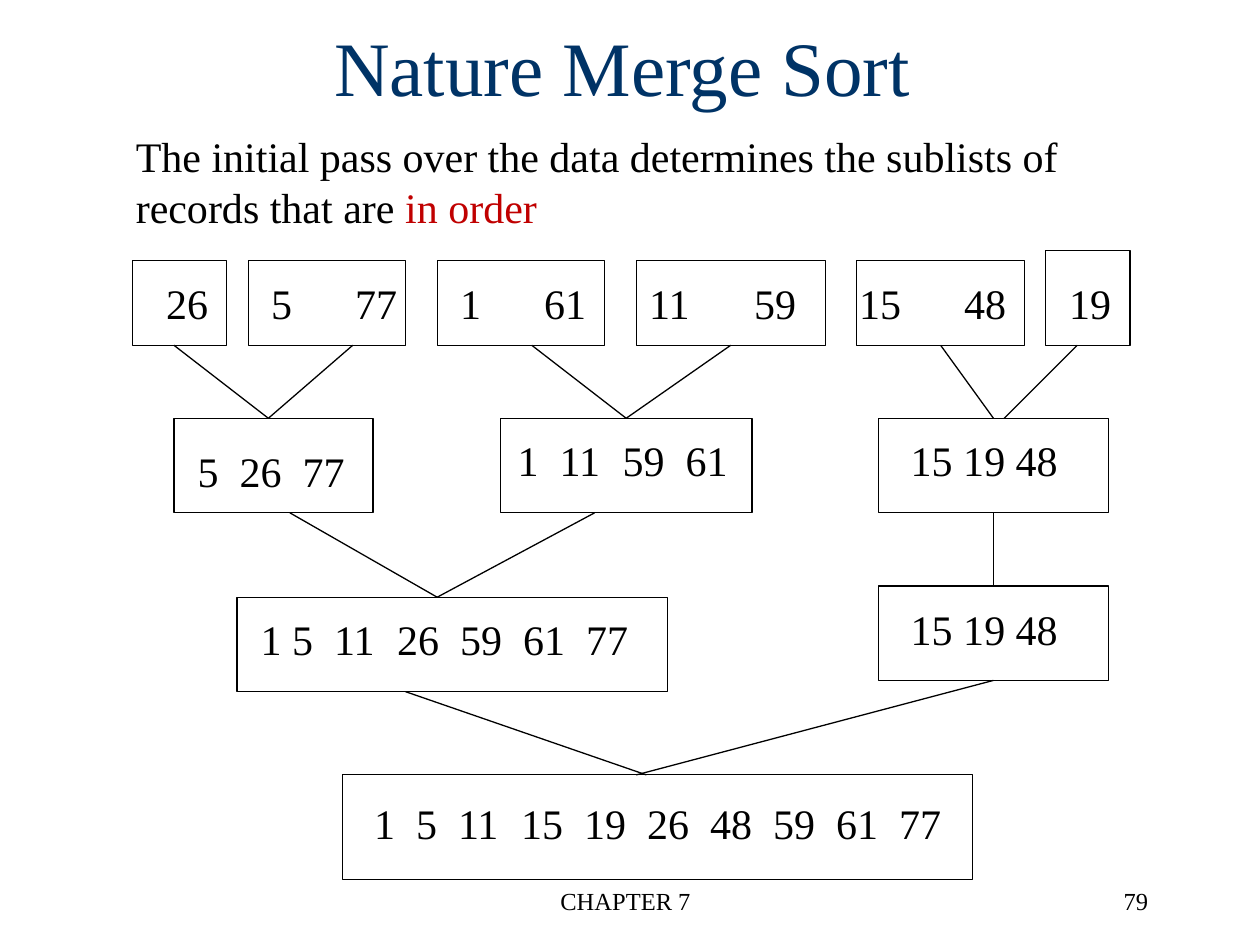
from itertools import accumulate

from lxml import etree
from pptx import Presentation
from pptx.dml.color import RGBColor
from pptx.enum.shapes import MSO_CONNECTOR, MSO_SHAPE
from pptx.enum.text import MSO_ANCHOR, PP_ALIGN
from pptx.oxml.ns import qn
from pptx.util import Inches, Pt

BLACK = RGBColor(0x00, 0x00, 0x00)
NAVY = RGBColor(0x00, 0x33, 0x66)
RED = RGBColor(0xC0, 0x00, 0x00)
FONT = "Times New Roman"
LEFT, CENTER, RIGHT = PP_ALIGN.LEFT, PP_ALIGN.CENTER, PP_ALIGN.RIGHT
TOP, MIDDLE = MSO_ANCHOR.TOP, MSO_ANCHOR.MIDDLE
RECT, STRAIGHT = MSO_SHAPE.RECTANGLE, MSO_CONNECTOR.STRAIGHT
TOP_SITE, BOTTOM_SITE = 0, 2
SPACE = 1 / 12  # width of a space at 24 pt; a digit is twice as wide

# Sorted lists: name -> left, top, width, height within the tree
BOXES = {
    "run 1": (0, 0.08, 0.75, 0.67),
    "run 2": (0.92, 0.08, 1.25, 0.67),
    "run 3": (2.42, 0.08, 1.33, 0.67),
    "run 4": (4, 0.08, 1.5, 0.67),
    "run 5": (5.75, 0.08, 1.33, 0.67),
    "run 6": (7.25, 0, 0.67, 0.75),
    "pair 1": (0.33, 1.33, 1.58, 0.75),
    "pair 2": (2.92, 1.33, 2, 0.75),
    "pair 3": (5.92, 1.33, 1.83, 0.75),
    "half 1": (0.83, 2.75, 3.42, 0.75),
    "half 2": (5.92, 2.66, 1.83, 0.75),
    "result": (1.67, 4.16, 5, 0.83),
}

# Rows of numbers: left, top, gap in spaces, comma-separated numbers
ROWS = [
    (0.17, 0.16, 6, "26,5,77,1,61,11,59,15,48,19"),
    (0.42, 1.5, 2, "5,26,77"),
    (2.96, 1.41, 2, "1,11,59,61"),
    (6.08, 1.41, 2, "15 19 48"),
    (0.92, 2.83, 2, "1 5,11,26,59,61,77"),
    (6.08, 2.75, 2, "15 19 48"),
    (1.82, 4.29, 2, "1,5,11,15,19,26,48,59,61,77"),
]

# Merges: each end is a point, or a box and its connection site
MERGES = [
    ((0.33, 0.75), (1.08, 1.33)),
    ((1.75, 0.75), (1.08, 1.33)),
    ((3.17, 0.75), ("pair 2", TOP_SITE)),
    (("run 4", BOTTOM_SITE), ("pair 2", TOP_SITE)),
    (("run 5", BOTTOM_SITE), ("pair 3", TOP_SITE)),
    ((7.5, 0.75), (6.92, 1.33)),
    ((1.25, 2.08), (2.42, 2.75)),
    ((3.67, 2.08), (2.42, 2.75)),
    (("pair 3", BOTTOM_SITE), ("half 2", TOP_SITE)),
    ((2.17, 3.5), (4.08, 4.16)),
    (("half 2", BOTTOM_SITE), (4, 4.16)),
]


def add_text(s, box, runs, size, align=LEFT, anchor=TOP):
    """Add a one-paragraph text box; runs are (text, colour) pairs."""
    tf = s.shapes.add_textbox(*map(Inches, box)).text_frame
    tf.word_wrap = True
    tf.vertical_anchor = anchor
    p = tf.paragraphs[0]
    p.alignment = align
    for text, color in runs:
        r = p.add_run()
        r.text = text
        r.font.name, r.font.size = FONT, Pt(size)
        r.font.color.rgb = color
    return p


def add_number_row(s, left, top, gap, numbers):
    """Add numbers set apart by tab stops worked out from their widths."""
    items = numbers.split(",")
    widths = [sum(1 if ch == " " else 2 for ch in item) * SPACE
              for item in items]
    stops = list(accumulate(w + gap * SPACE for w in widths[:-1]))
    width = (stops[-1] if stops else 0) + widths[-1] + 0.25
    p = add_text(s, (left, top, width, 0.5), [("\t".join(items), BLACK)], 24)
    if stops:
        tabs = etree.SubElement(p._p.get_or_add_pPr(), qn("a:tabLst"))
        for stop in stops:
            etree.SubElement(tabs, qn("a:tab"), pos=str(Inches(stop)), algn="l")


def add_merge_line(s, ends, boxes, left, top):
    line = s.shapes.add_connector(STRAIGHT, 0, 0, 0, 0)
    line.line.color.rgb = BLACK
    line.line.width = Pt(0.75)
    etree.SubElement(line._element.spPr, qn("a:effectLst"))
    (a, b), (c, d) = ends
    if a in boxes:
        line.begin_connect(boxes[a], b)
    else:
        line.begin_x, line.begin_y = Inches(left + a), Inches(top + b)
    if c in boxes:
        line.end_connect(boxes[c], d)
    else:
        line.end_x, line.end_y = Inches(left + c), Inches(top + d)


def add_heading(s, left, top):
    # Title and introduction
    add_text(s, (left, top, 8.5, 1.25), [("Nature Merge Sort", NAVY)],
             44, CENTER, MIDDLE)
    add_text(s, (left + 0.29, top + 1.09, 7.64, 0.91),
             [("The initial pass over the data determines the sublists of "
               "records that are ", BLACK), ("in order", RED)], 24)


def add_merge_tree(s, left, top):
    # Numbers
    for x, y, gap, numbers in ROWS:
        add_number_row(s, left + x, top + y, gap, numbers)
    # Frames
    boxes = {}
    for name, (x, y, w, h) in BOXES.items():
        box = s.shapes.add_shape(
            RECT, Inches(left + x), Inches(top + y), Inches(w), Inches(h))
        box.shadow.inherit = False
        box.fill.background()
        box.line.color.rgb = BLACK
        box.line.width = Pt(0.75)
        boxes[name] = box
    # Merge lines
    for ends in MERGES:
        add_merge_line(s, ends, boxes, left, top)


def add_footer(s, left, top):
    add_text(s, (left, top, 3.17, 0.5), [("CHAPTER 7", BLACK)], 14, CENTER)
    add_text(s, (left + 3.75, top, 2.08, 0.5), [("79", BLACK)], 14, RIGHT)


def main():
    prs = Presentation()
    prs.slide_width, prs.slide_height = Inches(10), Inches(7.5)
    s = prs.slides.add_slide(prs.slide_layouts[6])
    add_footer(s, 3.38, 6.98)
    add_heading(s, 0.69, -0.1)
    add_merge_tree(s, 1.05, 1.99)
    prs.save("out.pptx")


if __name__ == "__main__":
    main()
